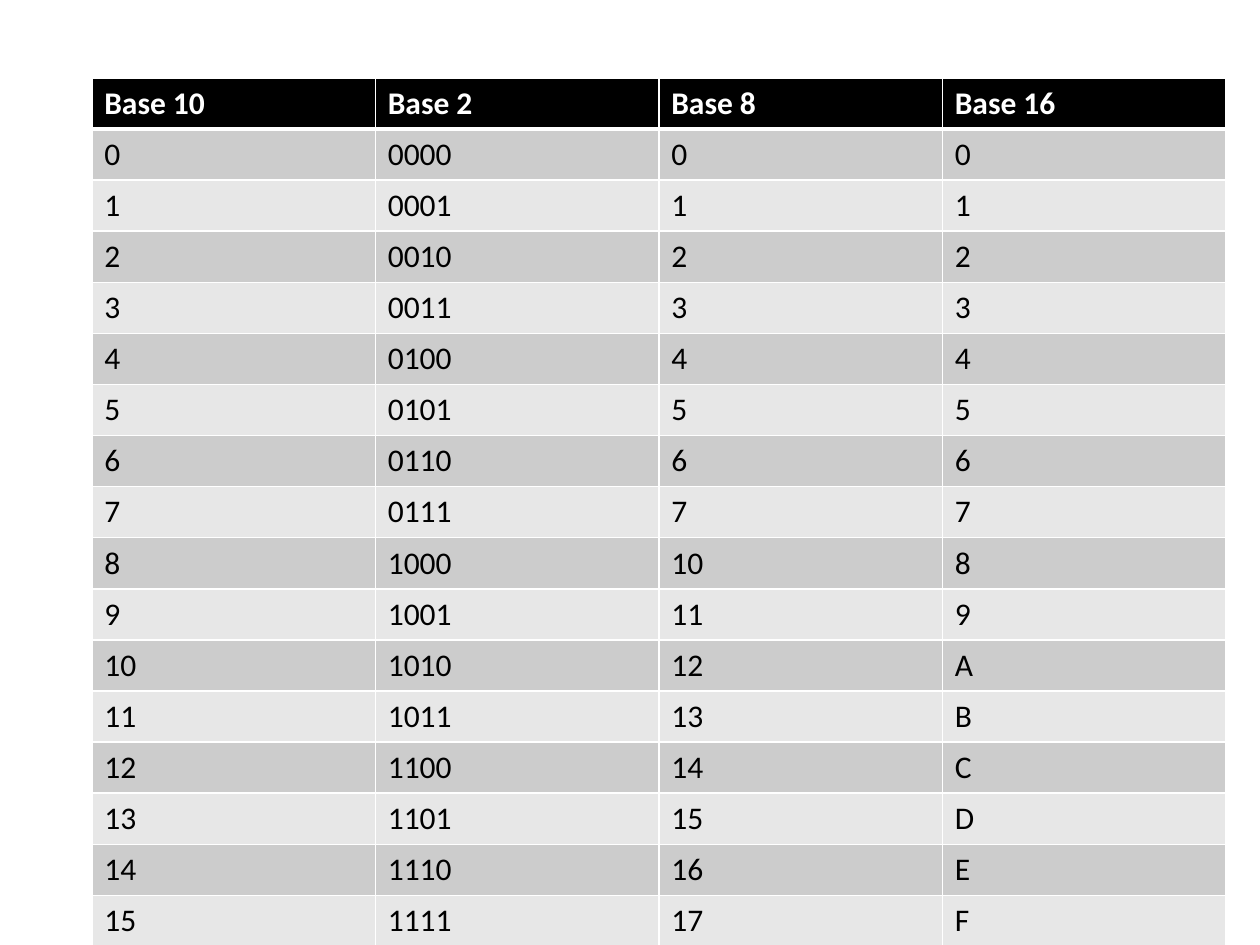
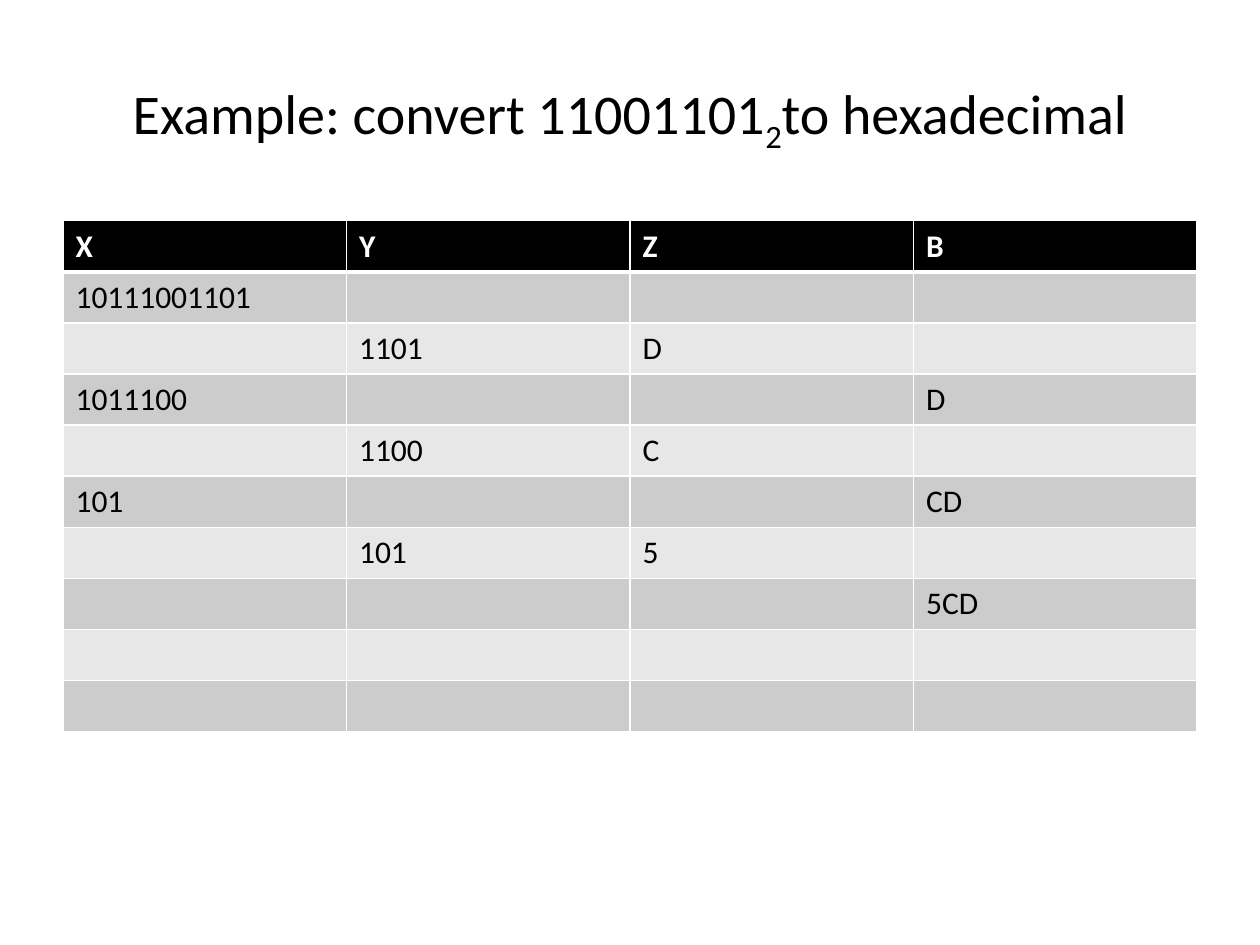
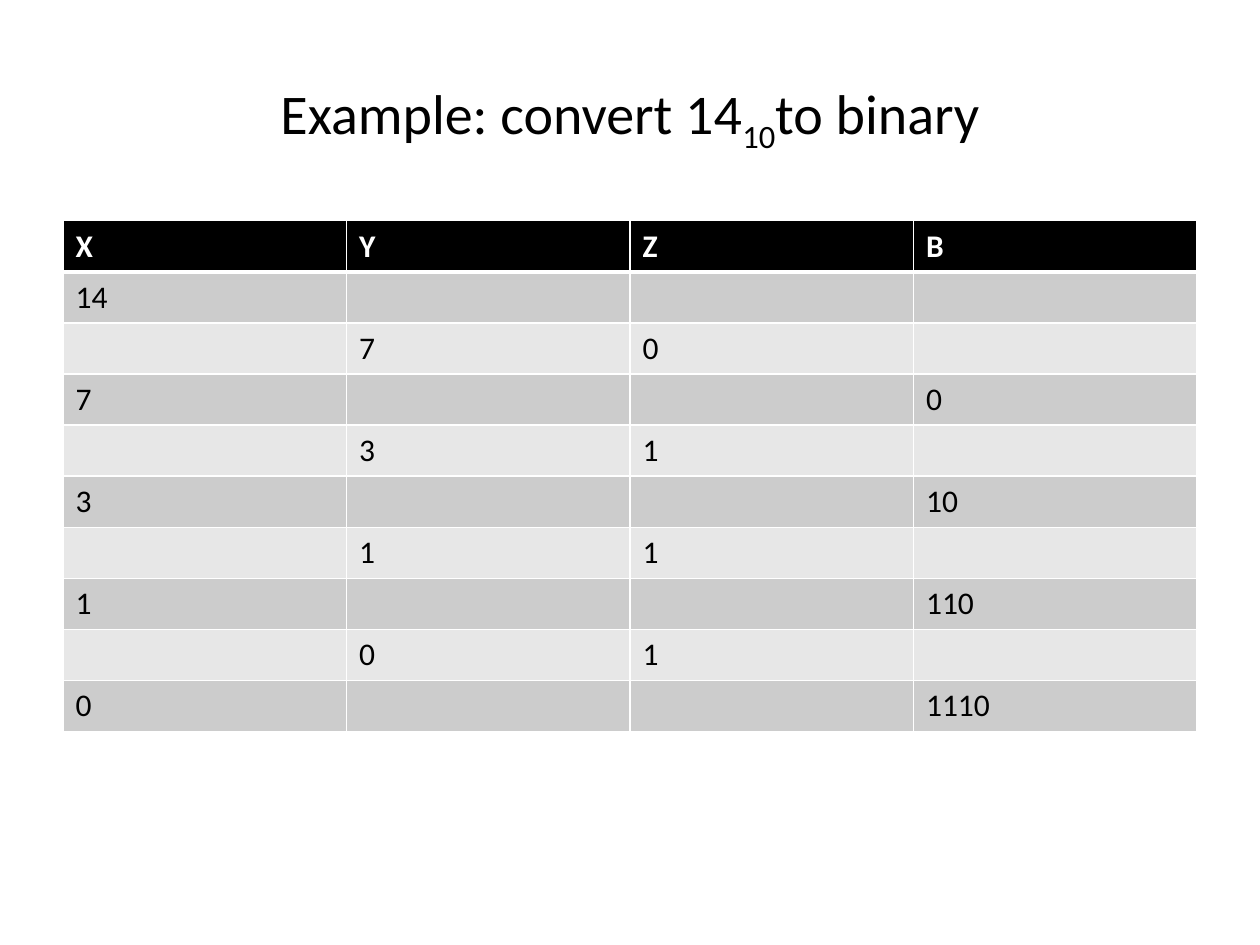
from dataclasses import dataclass

from lxml import etree
from pptx import Presentation
from pptx.dml.color import RGBColor
from pptx.enum.text import MSO_ANCHOR, PP_ALIGN
from pptx.oxml.ns import qn
from pptx.util import Cm, Pt

CENTER = PP_ALIGN.CENTER
MIDDLE = MSO_ANCHOR.MIDDLE
TITLE_ONLY, BLANK = 5, 6  # layout indexes


@dataclass(frozen=True)
class Theme:
    font: str = "Calibri"
    title_size: int = 32
    table_size: int = 18
    ink: str = "000000"
    paper: str = "FFFFFF"
    header_fill: str = "000000"
    bands: tuple = ("CCCCCC", "E7E7E7")
    thin: int = 1
    thick: int = 3
    subscript: str = "-25000"


THEME = Theme()

# Shared measures in centimetres
CONTENT_LEFT = 1.27
CONTENT_WIDTH = 22.86
TITLE_TOP, TITLE_HEIGHT = 0.76, 3.18
TABLE_TOP = 4.45
ROW_HEIGHT = 1.03

# Table content
BASES_HEADER = ("Base 10", "Base 2", "Base 8", "Base 16")
STEPS_HEADER = ("X", "Y", "Z", "B")
HEX_STEPS = (
    ("10111001101", "", "", ""),
    ("", "1101", "D", ""),
    ("1011100", "", "", "D"),
    ("", "1100", "C", ""),
    ("101", "", "", "CD"),
    ("", "101", "5", ""),
    ("", "", "", "5CD"),
    ("", "", "", ""),
    ("", "", "", ""),
)
BINARY_STEPS = (
    ("14", "", "", ""),
    ("", "7", "0", ""),
    ("7", "", "", "0"),
    ("", "3", "1", ""),
    ("3", "", "", "10"),
    ("", "1", "1", ""),
    ("1", "", "", "110"),
    ("", "0", "1", ""),
    ("0", "", "", "1110"),
)


def style_font(font, size, color, bold=False):
    font.name = THEME.font
    font.size = Pt(size)
    font.bold = bold
    font.color.rgb = RGBColor.from_string(color)


def set_borders(cell, top, bottom):
    """Draw the cell's four borders; call before filling the cell."""
    properties = cell._tc.get_or_add_tcPr()
    widths = {"L": THEME.thin, "R": THEME.thin, "T": top, "B": bottom}
    for side, width in widths.items():
        line = etree.SubElement(properties, qn(f"a:ln{side}"), w=str(Pt(width)))
        fill = etree.SubElement(line, qn("a:solidFill"))
        etree.SubElement(fill, qn("a:srgbClr"), val=THEME.paper)


def fill_cell(cell, text, row_index):
    """Write one cell; row 0 is the header, the others alternate."""
    is_header = row_index == 0
    set_borders(
        cell,
        top=THEME.thick if row_index == 1 else THEME.thin,
        bottom=THEME.thick if is_header else THEME.thin,
    )
    color = THEME.header_fill if is_header else THEME.bands[(row_index - 1) % 2]
    cell.fill.solid()
    cell.fill.fore_color.rgb = RGBColor.from_string(color)
    cell.text = text
    style_font(
        cell.text_frame.paragraphs[0].font,
        THEME.table_size,
        THEME.paper if is_header else THEME.ink,
        bold=is_header,
    )


def add_banded_table(page, header, body, left, top):
    rows = [header, *body]
    frame = page.shapes.add_table(
        len(rows), len(header),
        Cm(left), Cm(top), Cm(CONTENT_WIDTH), Cm(ROW_HEIGHT * len(rows)),
    )
    for row_index, (row, texts) in enumerate(zip(frame.table.rows, rows)):
        row.height = Cm(ROW_HEIGHT)
        for cell, text in zip(row.cells, texts):
            fill_cell(cell, text, row_index)


def set_title(page, number, base, target):
    """Title with the number's base as a subscript."""
    box = page.shapes.title
    box.left, box.top = Cm(CONTENT_LEFT), Cm(TITLE_TOP)
    box.width, box.height = Cm(CONTENT_WIDTH), Cm(TITLE_HEIGHT)
    box.text_frame.vertical_anchor = MIDDLE
    para = box.text_frame.paragraphs[0]
    para.alignment = CENTER
    for text in (f"Example: convert {number}", base, f"to {target}"):
        span = para.add_run()
        span.text = text
        style_font(span.font, THEME.title_size, THEME.ink)
        if text == base:
            span._r.get_or_add_rPr().set("baseline", THEME.subscript)


def add_bases_page(deck):
    page = deck.slides.add_slide(deck.slide_layouts[BLANK])
    body = [(f"{n}", f"{n:04b}", f"{n:o}", f"{n:X}") for n in range(16)]
    add_banded_table(page, BASES_HEADER, body, left=1.85, top=1.57)


def add_example_page(deck, number, base, target, steps):
    page = deck.slides.add_slide(deck.slide_layouts[TITLE_ONLY])
    set_title(page, number, base, target)
    add_banded_table(page, STEPS_HEADER, steps, CONTENT_LEFT, TABLE_TOP)


def main():
    deck = Presentation()
    deck.slide_width, deck.slide_height = Cm(25.4), Cm(19.05)
    add_bases_page(deck)
    add_example_page(deck, "11001101", "2", "hexadecimal", HEX_STEPS)
    add_example_page(deck, "14", "10", "binary", BINARY_STEPS)
    deck.save("out.pptx")


if __name__ == "__main__":
    main()
